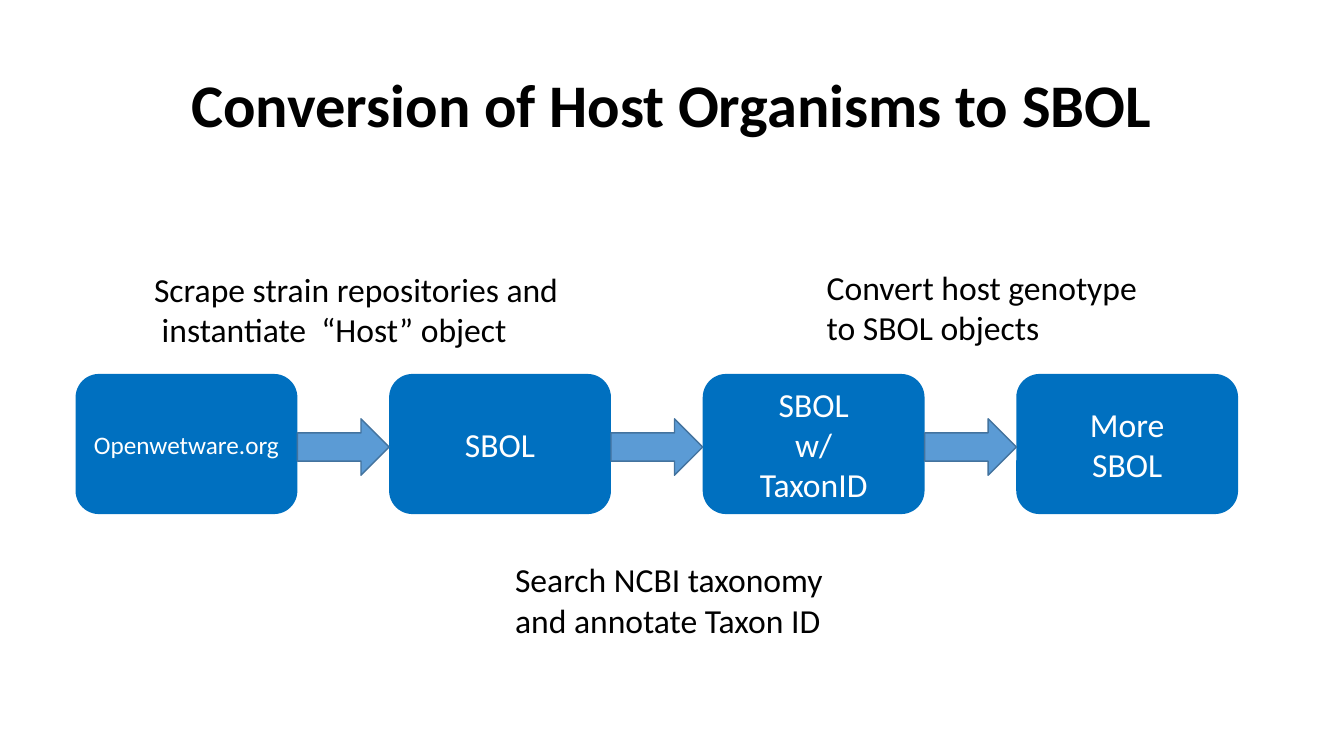
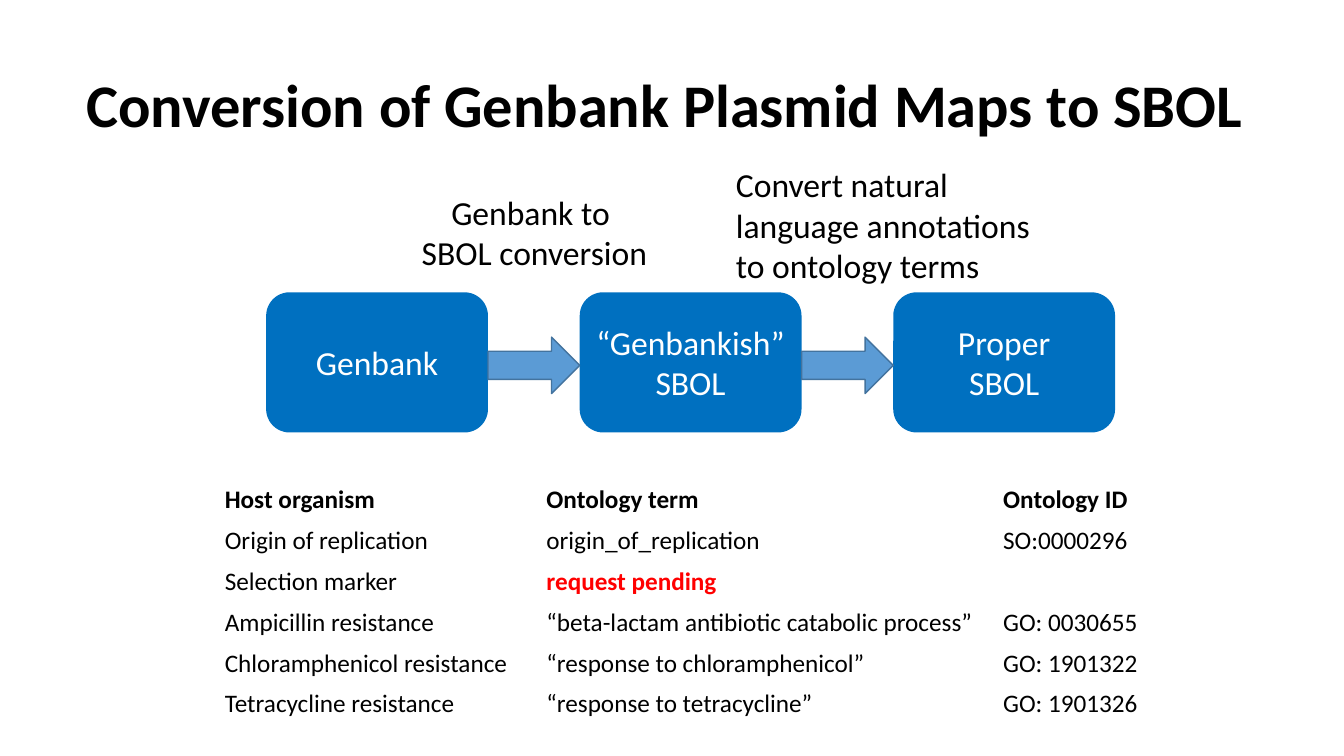
from pptx import Presentation
from pptx.dml.color import RGBColor
from pptx.enum import shapes, text
from pptx.util import Inches, Pt

BLACK = RGBColor(0x00, 0x00, 0x00)
WHITE = RGBColor(0xFF, 0xFF, 0xFF)
RED = RGBColor(0xFF, 0x00, 0x00)
STEP_BLUE = RGBColor(0x00, 0x70, 0xC0)
ARROW_BLUE = RGBColor(0x5B, 0x9B, 0xD5)
ARROW_EDGE = RGBColor(0x43, 0x73, 0x9E)

FONT = "Calibri"
LEFT, CENTER = text.PP_ALIGN.LEFT, text.PP_ALIGN.CENTER

STEP_WIDTH, STEP_HEIGHT = 2.2, 1.39
ARROW_WIDTH, ARROW_HEIGHT = 0.91, 0.56

ONTOLOGY_COLUMNS = (3.19, 4.53, 1.72)
ONTOLOGY_ROW_HEIGHT = 0.405
PENDING = "request pending"
ONTOLOGY_ROWS = [
    ("Host organism", "Ontology term", "Ontology ID"),
    ("Origin of replication", "origin_of_replication", "SO:0000296"),
    ("Selection marker", PENDING, ""),
    ("Ampicillin resistance", "“beta-lactam antibiotic catabolic process”", "GO: 0030655"),
    ("Chloramphenicol resistance", "“response to chloramphenicol”", "GO: 1901322"),
    ("Tetracycline resistance", "“response to tetracycline”", "GO: 1901326"),
]


def write(text_frame, words, size, color=BLACK, bold=False, align=LEFT):
    text_frame.text = words
    for paragraph in text_frame.paragraphs:
        paragraph.alignment = align
        for run in paragraph.runs:
            run.font.name = FONT
            run.font.size = Pt(size)
            run.font.bold = bold
            run.font.color.rgb = color


def add_label(slide, left, top, width, height, words, size=24, **style):
    box = slide.shapes.add_textbox(Inches(left), Inches(top), Inches(width), Inches(height))
    box.text_frame.word_wrap = True
    write(box.text_frame, words, size, **style)
    return box


def add_titled_slide(presentation, title):
    slide = presentation.slides.add_slide(presentation.slide_layouts[6])
    box = add_label(slide, 0.45, 0.65, 12.42, 0.84, title, 43.2, bold=True, align=CENTER)
    frame = box.text_frame
    frame.vertical_anchor = text.MSO_ANCHOR.MIDDLE
    frame.margin_top = frame.margin_bottom = Inches(0.1)
    frame.paragraphs[0].line_spacing = 0.9
    return slide


def add_filled_shape(slide, kind, left, top, width, height, fill):
    shape = slide.shapes.add_shape(
        kind, Inches(left), Inches(top), Inches(width), Inches(height))
    shape.shadow.inherit = False
    shape.fill.solid()
    shape.fill.fore_color.rgb = fill
    return shape


def add_step(slide, left, top, words, size):
    step = add_filled_shape(slide, shapes.MSO_SHAPE.ROUNDED_RECTANGLE,
                            left, top, STEP_WIDTH, STEP_HEIGHT, STEP_BLUE)
    step.line.fill.background()
    step.text_frame.word_wrap = False
    step.text_frame.vertical_anchor = text.MSO_ANCHOR.MIDDLE
    write(step.text_frame, words, size, WHITE, align=CENTER)


def add_arrow(slide, left, top):
    arrow = add_filled_shape(slide, shapes.MSO_SHAPE.RIGHT_ARROW,
                             left, top, ARROW_WIDTH, ARROW_HEIGHT, ARROW_BLUE)
    arrow.line.color.rgb = ARROW_EDGE
    arrow.line.width = Pt(1)


def add_flow(slide, left, top, steps):
    """Draw a row of (words, size) steps joined by block arrows."""
    for index, (words, size) in enumerate(steps):
        step_left = left + index * (STEP_WIDTH + ARROW_WIDTH)
        add_step(slide, step_left, top, words, size)
        if index:
            add_arrow(slide, step_left - ARROW_WIDTH,
                      top + (STEP_HEIGHT - ARROW_HEIGHT) / 2 + 0.03)


def add_ontology_table(slide, left, top):
    frame = slide.shapes.add_table(
        len(ONTOLOGY_ROWS), len(ONTOLOGY_COLUMNS), Inches(left), Inches(top),
        Inches(sum(ONTOLOGY_COLUMNS)), Inches(ONTOLOGY_ROW_HEIGHT * len(ONTOLOGY_ROWS)))
    table = frame.table
    table.first_row = table.horz_banding = False
    for column, width in zip(table.columns, ONTOLOGY_COLUMNS):
        column.width = Inches(width)
    for row_index, values in enumerate(ONTOLOGY_ROWS):
        for column_index, value in enumerate(values):
            cell = table.cell(row_index, column_index)
            cell.fill.background()
            pending = value == PENDING
            write(cell.text_frame, value, 18, RED if pending else BLACK,
                  bold=pending or row_index == 0)


def build_host_slide(presentation):
    slide = add_titled_slide(presentation, "Conversion of Host Organisms to SBOL")
    add_flow(slide, 0.75, 3.71, [
        ("Openwetware.org", 18), ("SBOL", 24), ("SBOL\nw/\nTaxonID", 24), ("More\nSBOL", 24)])
    add_label(slide, 1.43, 2.62, 4.26, 0.91,
              "Scrape strain repositories and\v instantiate  “Host” object")
    add_label(slide, 8.1, 2.6, 3.32, 0.91, "Convert host genotype to SBOL objects")
    add_label(slide, 5.01, 5.5, 3.32, 0.91, "Search NCBI taxonomy\nand annotate Taxon ID")


def build_plasmid_slide(presentation):
    slide = add_titled_slide(presentation, "Conversion of Genbank Plasmid Maps to SBOL ")
    add_flow(slide, 2.64, 2.9, [
        ("Genbank", 24), ("“Genbankish”\nSBOL", 24), ("Proper\nSBOL", 24)])
    add_label(slide, 0.72, 1.85, 9.16, 0.91, "Genbank to \nSBOL conversion", align=CENTER)
    add_label(slide, 7.2, 1.58, 3.32, 1.31,
              "Convert natural\nlanguage annotations\nto ontology terms")
    add_ontology_table(slide, 2.13, 4.76)


def main():
    presentation = Presentation()
    presentation.slide_width = Inches(13.33)
    presentation.slide_height = Inches(7.5)
    build_host_slide(presentation)
    build_plasmid_slide(presentation)
    presentation.save("out.pptx")


if __name__ == "__main__":
    main()
